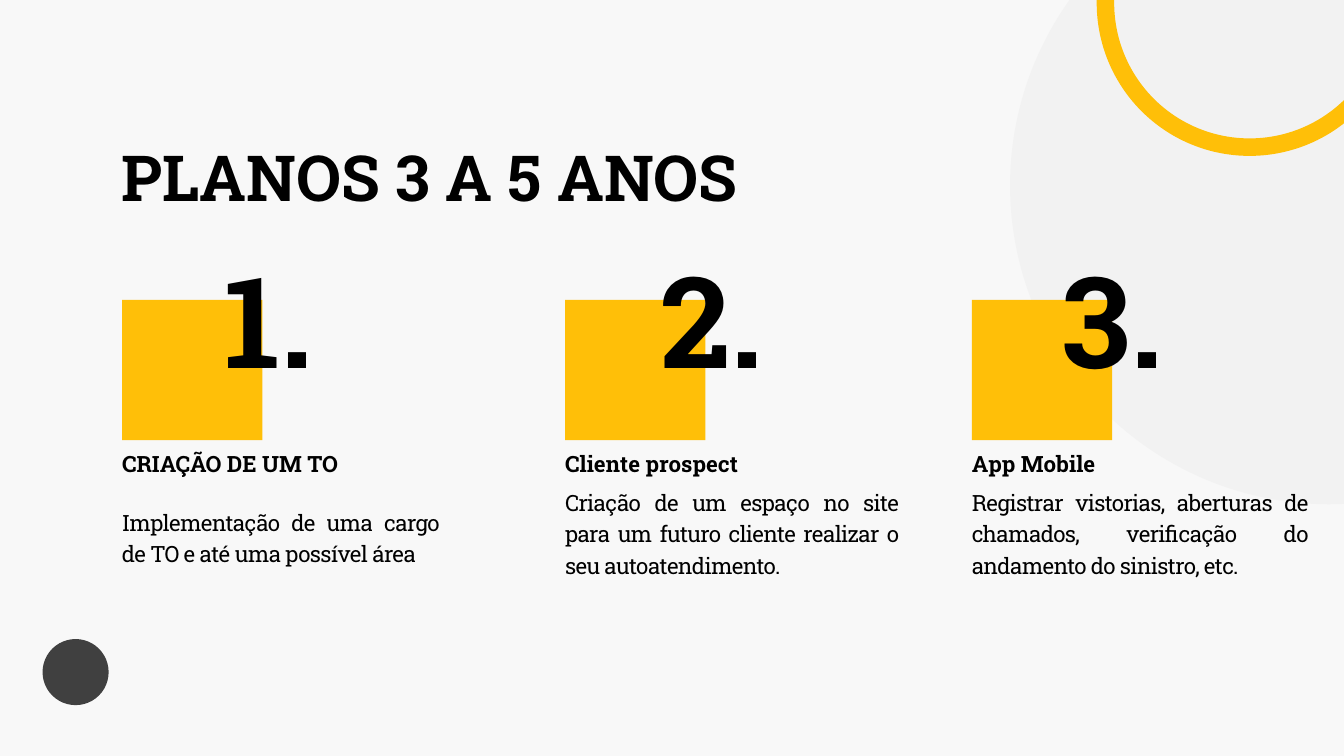
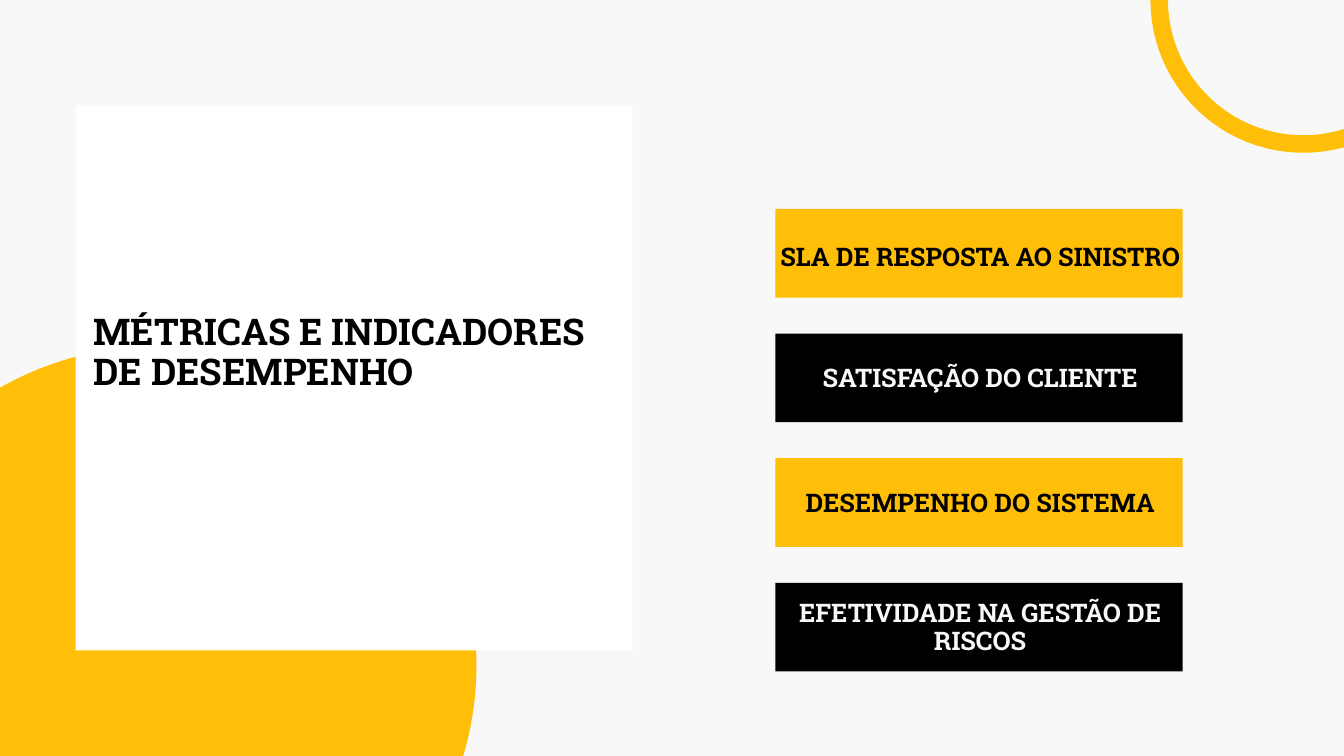
"""Build two slides: long-term plans and performance metrics."""
from dataclasses import dataclass

from pptx import Presentation
from pptx.dml.color import RGBColor
from pptx.enum.shapes import MSO_SHAPE
from pptx.enum.text import MSO_AUTO_SIZE, PP_ALIGN
from pptx.shapes.autoshape import Shape
from pptx.slide import Slide
from pptx.util import Pt

RECT, OVAL = MSO_SHAPE.RECTANGLE, MSO_SHAPE.OVAL
LEFT, CENTER, FULL = PP_ALIGN.LEFT, PP_ALIGN.CENTER, PP_ALIGN.JUSTIFY
GROW = MSO_AUTO_SIZE.SHAPE_TO_FIT_TEXT

FONT = "Roboto Slab"
GOLD, BLACK, WHITE = "FFBF08", "000000", "FFFFFF"
PAPER, MIST, SLATE = "F8F8F8", "F2F2F2", "404040"

DISC, RING, RING_LINE = 683.3, 308.9, 18.75
FRAME = {"word_wrap": True, "auto_size": GROW, "margin_left": 0,
         "margin_top": 0, "margin_right": 0, "margin_bottom": 0}


@dataclass(frozen=True)
class Style:
    """Format of one kind of text."""
    size: float
    lead: float
    bold: bool = True
    align: PP_ALIGN = LEFT
    track: int = 0


@dataclass(frozen=True)
class Box:
    """Place and size in points."""
    left: float
    top: float
    width: float
    height: float


@dataclass(frozen=True)
class Plan:
    """One column of the plans slide."""
    left: float
    shift: float
    head: str
    head_width: float
    body: str
    body_box: Box


@dataclass(frozen=True)
class Bar:
    """One metric; drop moves its label below the middle."""
    label: str
    fill: str
    ink: str
    lines: int = 1
    drop: float = 0.8


TITLE = Style(68, 74.7)
TOPIC = Style(39.4, 43.3)
DIGIT = Style(135.8, 149.3, align=CENTER)
HEAD = Style(24, 26.4, align=FULL)
BODY = Style(24, 33.6, bold=False, align=FULL, track=-70)
LABEL = Style(27.4, 30.1, align=CENTER)

PLANS = (
    Plan(130.8, 48, "CRIAÇÃO DE UM TO", 309,
         "Implementação de uma cargo de TO e até uma possível área",
         Box(130.5, 540.7, 339.8, 64)),
    Plan(605.5, 48, "Cliente prospect", 309,
         "Criação de um espaço no site para um futuro cliente realizar "
         "o seu autoatendimento.",
         Box(605.5, 519.1, 357.1, 97.2)),
    Plan(1041.2, 41, "App Mobile", 350,
         "Registrar vistorias, aberturas de chamados, verificação do "
         "andamento do sinistro, etc.",
         Box(1041.2, 519.1, 360, 97.2)),
)

BARS = (
    Bar("SLA DE RESPOSTA AO SINISTRO", GOLD, BLACK, drop=4.8),
    Bar("SATISFAÇÃO DO CLIENTE", BLACK, PAPER),
    Bar("DESEMPENHO DO SISTEMA", GOLD, BLACK),
    Bar("EFETIVIDADE NA GESTÃO DE RISCOS", BLACK, PAPER, lines=2),
)
BAR_LEFT, BAR_TOP, BAR_WIDTH, BAR_HEIGHT, BAR_STEP = 830.9, 223.9, 436.3, 95, 133.5


def tint(code: str) -> RGBColor:
    """Turn a hex string into a colour."""
    return RGBColor.from_string(code)


def apply(target: object, values: dict) -> None:
    """Set each named attribute on the target."""
    for name, value in values.items():
        setattr(target, name, value)


def place(box: Box) -> tuple[Pt, ...]:
    """Give a box as four lengths."""
    return Pt(box.left), Pt(box.top), Pt(box.width), Pt(box.height)


def shape(slide: Slide, kind: MSO_SHAPE, box: Box, fill: str) -> Shape:
    """Draw a plain filled shape."""
    item = slide.shapes.add_shape(kind, *place(box))
    item.shadow.inherit = False
    item.fill.solid()
    item.fill.fore_color.rgb = tint(fill)
    item.line.fill.background()
    return item


def ring(slide: Slide, left: float, top: float) -> None:
    """Draw the gold ring in the top corner."""
    item = shape(slide, OVAL, Box(left, top, RING, RING), GOLD)
    item.fill.background()
    item.line.color.rgb = tint(GOLD)
    item.line.width = Pt(RING_LINE)


def write(slide: Slide, words: str, box: Box, style: Style, ink: str = BLACK) -> None:
    """Add a text box in the given style."""
    frame = slide.shapes.add_textbox(*place(box)).text_frame
    apply(frame, FRAME)
    para = frame.paragraphs[0]
    apply(para, {"alignment": style.align, "line_spacing": Pt(style.lead)})
    run = para.add_run()
    run.text = words
    apply(run.font, {"name": FONT, "size": Pt(style.size), "bold": style.bold})
    run.font.color.rgb = tint(ink)
    if style.track:
        run._r.get_or_add_rPr().set("spc", str(style.track))


def start(deck: Presentation) -> Slide:
    """Add a blank slide with the paper colour."""
    slide = deck.slides.add_slide(deck.slide_layouts[6])
    slide.background.fill.solid()
    slide.background.fill.fore_color.rgb = tint(PAPER)
    return slide


def draw_plans(deck: Presentation) -> None:
    """Build the slide with three numbered plans."""
    slide = start(deck)
    shape(slide, OVAL, Box(1082.2, -143, DISC, DISC), MIST)
    ring(slide, 1184.4, -151.2)
    write(slide, "PLANOS 3 A 5 ANOS", Box(130.5, 154.8, 698.4, 75.6), TITLE)
    for count, plan in enumerate(PLANS, 1):
        shape(slide, RECT, Box(plan.left, 321.3, 150.3, 150.3), GOLD)
        write(slide, plan.head, Box(plan.left, 484.6, plan.head_width, 26.6), HEAD)
        write(slide, plan.body, plan.body_box, BODY)
        write(slide, f"{count}.", Box(plan.left + plan.shift, 272.9, 218.2, 153.4), DIGIT)
    shape(slide, OVAL, Box(45.6, 684.7, 70.8, 70.8), SLATE)


def draw_bars(deck: Presentation) -> None:
    """Build the slide with a topic card and metric bars."""
    slide = start(deck)
    shape(slide, OVAL, Box(-172.8, 370.8, DISC, DISC), GOLD)
    shape(slide, RECT, Box(80.9, 113, 597, 584), WHITE)
    write(slide, "MÉTRICAS E INDICADORES DE DESEMPENHO",
          Box(100, 334.8, 559.4, 86.4), TOPIC)
    ring(slide, 1242, -154.6)
    for index, bar in enumerate(BARS):
        top = BAR_TOP + index * BAR_STEP
        tall = bar.lines * LABEL.lead
        shape(slide, RECT, Box(BAR_LEFT, top, BAR_WIDTH, BAR_HEIGHT), bar.fill)
        write(slide, bar.label,
              Box(BAR_LEFT + 2, top + (BAR_HEIGHT - tall) / 2 + bar.drop,
                  BAR_WIDTH - 2, tall), LABEL, bar.ink)


def main() -> None:
    """Build and save the deck."""
    deck = Presentation()
    apply(deck, {"slide_width": Pt(1440), "slide_height": Pt(810)})
    draw_plans(deck)
    draw_bars(deck)
    deck.save("out.pptx")


if __name__ == "__main__":
    main()
